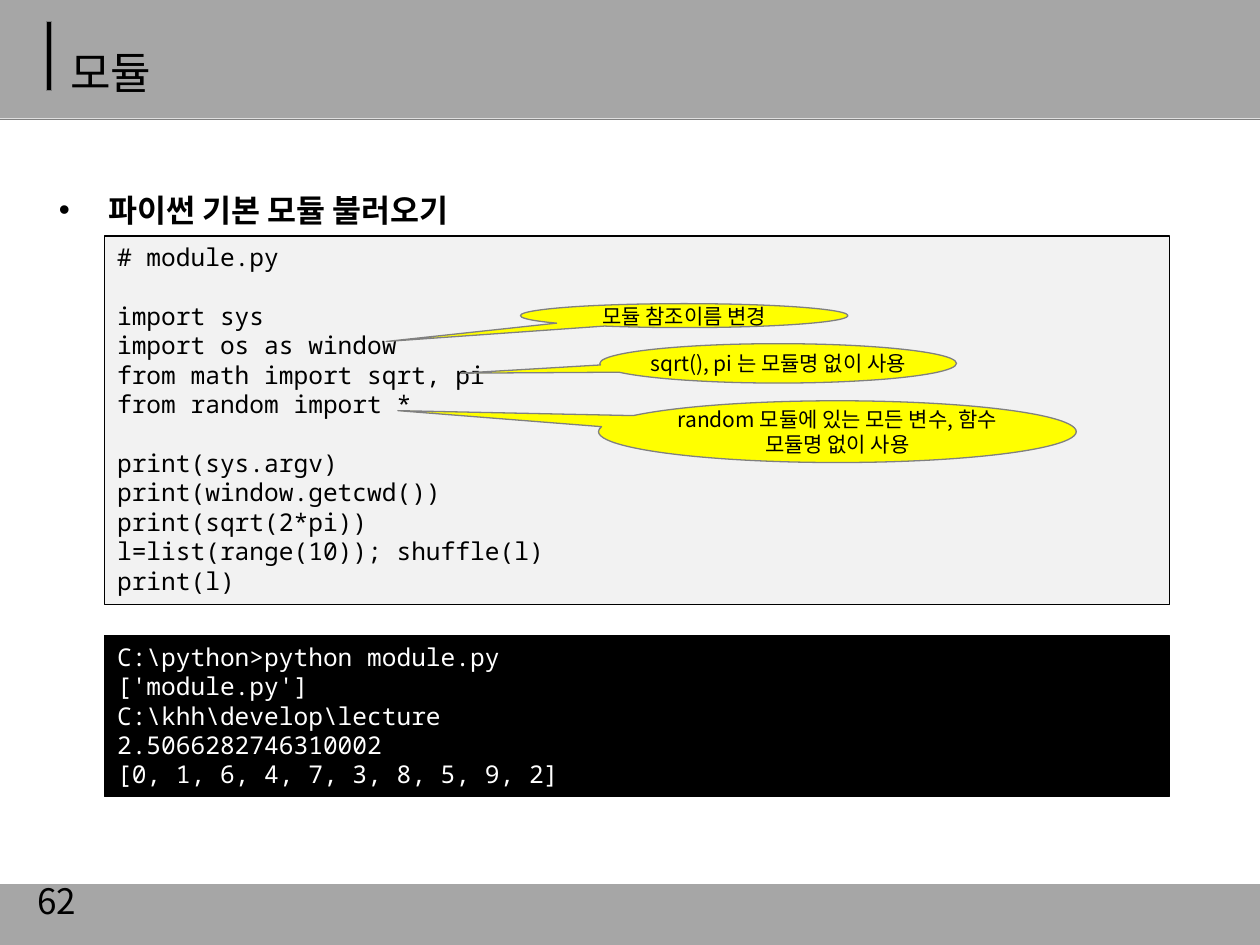
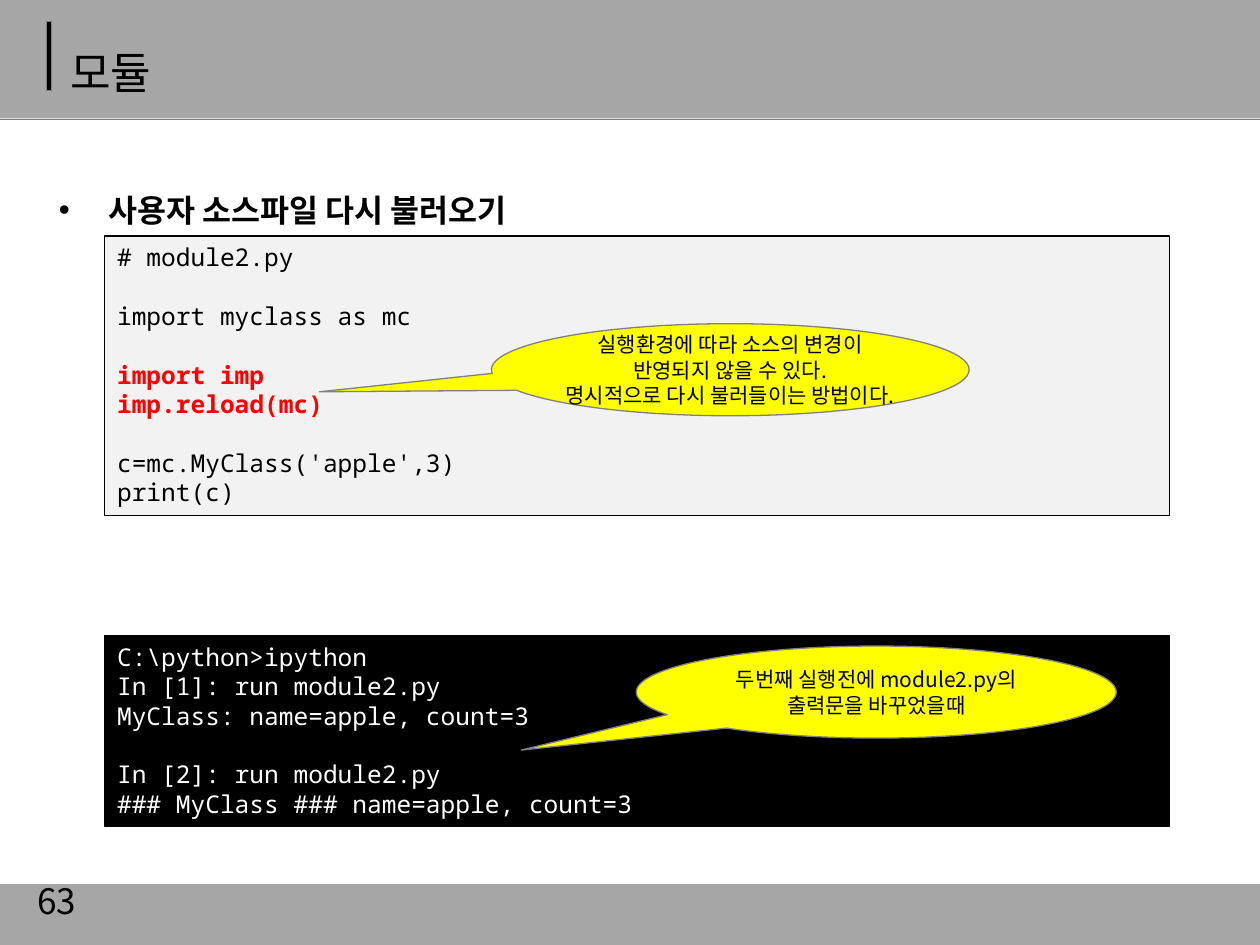
from pptx import Presentation
from pptx.dml.color import RGBColor
from pptx.enum.shapes import MSO_CONNECTOR, MSO_SHAPE
from pptx.enum.text import MSO_ANCHOR, PP_ALIGN
from pptx.util import Pt
from lxml.etree import SubElement
from pptx.oxml.ns import qn

BLACK, WHITE, RED, YELLOW = "000000", "FFFFFF", "FF0000", "FFFF00"
BAND, EDGE, PAPER = "A6A6A6", "808080", "F2F2F2"
SANS, MONO = "Noto Sans CJK KR", "Noto Sans Mono"

TITLE = {"size": Pt(25.2), "name": SANS}
HEADING = {"size": Pt(18), "name": SANS, "bold": True}
CODE = {"size": Pt(14), "name": MONO}
NOTE = {"size": Pt(12), "name": SANS}
NUMBER = {"size": Pt(20), "name": SANS}

CODE_PITCH = Pt(16.83)
NOTE_PITCH = Pt(14.45)
PANEL_LEFT, PANEL_WIDTH = 59.8, 608.4
SOURCE_TOP, CONSOLE_TOP = 134.8, 363.2


def color(value):
    return RGBColor.from_string(value)


def assign(target, values):
    for name, value in values.items():
        setattr(target, name, value)


class Lecture:
    def __init__(self):
        self.deck = Presentation()
        assign(self.deck, {"slide_width": Pt(720), "slide_height": Pt(540)})
        self.page = None

    def new_page(self, title, heading, number):
        self.page = self.deck.slides.add_slide(self.deck.slide_layouts[6])
        self.shape((0, -0.7, 720, 68.4), BAND)
        self.rule(0, 68.2, 720, 68.2)
        self.shape((26.7, 12.4, 2.8, 39.4), BLACK, EDGE)
        self.shape((0, 505.2, 720, 34.8), BAND)
        self.heading(heading)
        self.label((33.1, 10, 620.6, 46), title, TITLE,
                   {"vertical_anchor": MSO_ANCHOR.BOTTOM, "margin_bottom": 0})
        self.label((14.4, 500.4, 167.8, 28.8), number, NUMBER,
                   {"vertical_anchor": MSO_ANCHOR.MIDDLE})

    def shape(self, place, fill, edge=None, kind=MSO_SHAPE.RECTANGLE):
        box = self.page.shapes.add_shape(kind, *map(Pt, place))
        box.shadow.inherit = False
        box.fill.solid()
        box.fill.fore_color.rgb = color(fill)
        if edge:
            box.line.color.rgb = color(edge)
            box.line.width = Pt(0.75)
        else:
            box.line.fill.background()
        return box

    def rule(self, *ends):
        line = self.page.shapes.add_connector(MSO_CONNECTOR.STRAIGHT, *map(Pt, ends))
        line.line.color.rgb = color(EDGE)
        line.line.width = Pt(0.75)
        SubElement(line._element.spPr, qn("a:effectLst"))

    def add_span(self, para, text, style, ink=BLACK):
        span = para.add_run()
        span.text = text
        assign(span.font, style)
        span.font.color.rgb = color(ink)
        SubElement(span._r.get_or_add_rPr(), qn("a:ea"), typeface=style["name"])

    def paragraphs(self, frame, lines, style, ink, layout):
        for index, text in enumerate(lines):
            para = frame.add_paragraph() if index else frame.paragraphs[0]
            assign(para, layout)
            self.add_span(para, text, style, ink)

    def label(self, place, text, style, layout):
        box = self.page.shapes.add_textbox(*map(Pt, place))
        assign(box.text_frame, {"word_wrap": True, **layout})
        self.add_span(box.text_frame.paragraphs[0], text, style)
        return box

    def heading(self, text):
        box = self.label((26.6, 82.8, 668.2, 370.8), text, HEADING, {})
        para = box.text_frame.paragraphs[0]
        para.line_spacing = Pt(44.5)
        props = para._p.get_or_add_pPr()
        props.set("marL", str(Pt(28.1)))
        props.set("indent", str(-Pt(28.1)))
        SubElement(props, qn("a:buFont"), typeface="Arial")
        SubElement(props, qn("a:buChar"), char="•")

    def panel(self, top, height, groups, fill, ink, marked=None):
        box = self.shape((PANEL_LEFT, top, PANEL_WIDTH, height), fill, BLACK)
        frame = box.text_frame
        assign(frame, {"word_wrap": True, "vertical_anchor": MSO_ANCHOR.TOP})
        layout = {"alignment": PP_ALIGN.LEFT, "line_spacing": CODE_PITCH}
        lines = [line for group in groups for line in group]
        self.paragraphs(frame, lines, CODE, ink, layout)
        start = 0
        for index, group in enumerate(groups):
            if index:
                frame.paragraphs[start].space_before = CODE_PITCH
            if index == marked:
                for para in frame.paragraphs[start:start + len(group)]:
                    para.runs[0].font.bold = True
                    para.runs[0].font.color.rgb = color(RED)
            start += len(group)

    def source(self, height, groups, marked=None):
        self.panel(SOURCE_TOP, height, groups, PAPER, BLACK, marked)

    def console(self, height, groups):
        self.panel(CONSOLE_TOP, height, groups, BLACK, WHITE)

    def callout(self, place, tip, lines):
        box = self.shape(place, YELLOW, EDGE, MSO_SHAPE.OVAL_CALLOUT)
        box.adjustments[0], box.adjustments[1] = tip
        assign(box.text_frame, {"word_wrap": False, "vertical_anchor": MSO_ANCHOR.MIDDLE})
        layout = {"alignment": PP_ALIGN.CENTER, "line_spacing": NOTE_PITCH}
        self.paragraphs(box.text_frame, lines, NOTE, BLACK, layout)


def basic_modules(lecture):
    lecture.new_page("모듈", "파이썬 기본 모듈 불러오기", "62")
    lecture.source(210.8, [
        ["# module.py"],
        ["import sys", "import os as window", "from math import sqrt, pi",
         "from random import *"],
        ["print(sys.argv)", "print(window.getcwd())", "print(sqrt(2*pi))",
         "l=list(range(10)); shuffle(l)", "print(l)"],
    ])
    lecture.console(92, [[
        r"C:\python>python module.py", "['module.py']", r"C:\khh\develop\lecture",
        "2.5066282746310002", "[0, 1, 6, 4, 7, 3, 8, 5, 9, 2]",
    ]])
    lecture.callout((297.4, 173.5, 187.2, 13.7), (-0.91, 1.08), ["모듈 참조이름 변경"])
    lecture.callout((342.8, 196.4, 203.8, 22.5), (-0.89, 0.25),
                    ["sqrt(), pi 는 모듈명 없이 사용"])
    lecture.callout((342, 229, 273, 35.3), (-0.92, -0.34),
                    ["random 모듈에 있는 모든 변수, 함수", "모듈명 없이 사용"])


def reload_source(lecture):
    lecture.new_page("모듈", "사용자 소스파일 다시 불러오기", "63")
    lecture.source(159.8, [
        ["# module2.py"],
        ["import myclass as mc"],
        ["import imp", "imp.reload(mc)"],
        ["c=mc.MyClass('apple',3)", "print(c)"],
    ], marked=2)
    lecture.console(108.9, [
        [r"C:\python>ipython", "In [1]: run module2.py", "MyClass: name=apple, count=3"],
        ["In [2]: run module2.py", "### MyClass ### name=apple, count=3"],
    ])
    lecture.callout((280.8, 185, 273, 52.6), (-0.86, 0.24),
                    ["실행환경에 따라 소스의 변경이", "반영되지 않을 수 있다.",
                     "명시적으로 다시 불러들이는 방법이다."])
    lecture.callout((363.6, 369.2, 274.3, 52.6), (-0.74, 0.63),
                    ["두번째 실행전에 module2.py의", "출력문을 바꾸었을때"])


def main():
    lecture = Lecture()
    basic_modules(lecture)
    reload_source(lecture)
    lecture.deck.save("out.pptx")


if __name__ == "__main__":
    main()
